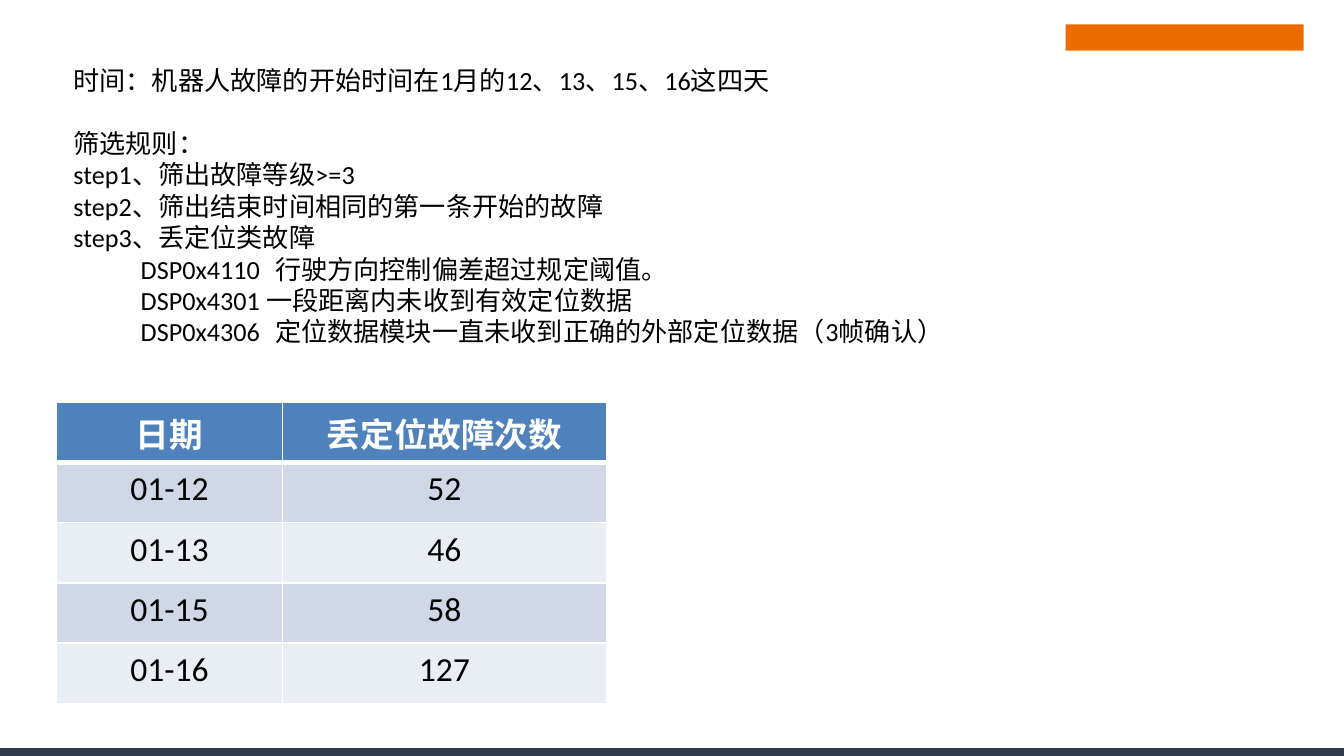
from lxml import etree
from pptx import Presentation
from pptx.dml.color import RGBColor
from pptx.enum.shapes import MSO_SHAPE
from pptx.enum.text import PP_ALIGN
from pptx.oxml.ns import qn
from pptx.util import Cm, Pt


def color(value):
    return RGBColor.from_string(value)


def write(paragraph, text, size=14, fill="000000", bold=False, align=PP_ALIGN.LEFT, before=0):
    paragraph.alignment = align
    paragraph.space_before = Pt(before)
    run = paragraph.add_run()
    run.text = text
    run.font.name = "Calibri"
    run.font.size = Pt(size)
    run.font.bold = bold
    run.font.color.rgb = color(fill)


presentation = Presentation()
presentation.slide_width = Cm(25.4)
presentation.slide_height = Cm(14.28)
slide = presentation.slides.add_slide(presentation.slide_layouts[6])

bars = [
    (0, 14.13, 25.4, 0.15, "303C4E"),
    (20.14, 0.46, 4.5, 0.5, "ED6C00"),
]
for left, top, width, height, fill in bars:
    shape = slide.shapes.add_shape(MSO_SHAPE.RECTANGLE, Cm(left), Cm(top), Cm(width), Cm(height))
    shape.shadow.inherit = False
    shape.fill.solid()
    shape.fill.fore_color.rgb = color(fill)
    shape.line.fill.background()

rules = [
    ("时间：机器人故障的开始时间在1月的12、13、15、16这四天", 0, False),
    ("筛选规则：", 17, False),
    ("step1、筛出故障等级>=3", 0, False),
    ("step2、筛出结束时间相同的第一条开始的故障", 0, False),
    ("step3、丢定位类故障", 0, False),
    ("DSP0x4110\t行驶方向控制偏差超过规定阈值。", 0, True),
    ("DSP0x4301 一段距离内未收到有效定位数据", 0, True),
    ("DSP0x4306\t定位数据模块一直未收到正确的外部定位数据（3帧确认）", 0, True),
]
text_frame = slide.shapes.add_textbox(Cm(1.14), Cm(1.09), Cm(23.6), Cm(5.31)).text_frame
text_frame.word_wrap = True
for index, (text, before, indented) in enumerate(rules):
    paragraph = text_frame.add_paragraph() if index else text_frame.paragraphs[0]
    write(paragraph, text, before=before)
    if indented:
        properties = paragraph._p.get_or_add_pPr()
        properties.set("marL", "0")
        properties.set("indent", str(Cm(1.27)))
        tabs = etree.SubElement(properties, qn("a:tabLst"))
        etree.SubElement(tabs, qn("a:tab"), pos=str(Cm(3.81)), algn="l")

rows = [
    ("日期", "丢定位故障次数"),
    ("01-12", "52"),
    ("01-13", "46"),
    ("01-15", "58"),
    ("01-16", "127"),
]
table = slide.shapes.add_table(len(rows), 2, Cm(1.07), Cm(7.59), Cm(10.39), Cm(5.7)).table
table.columns[0].width = Cm(4.27)
table.columns[1].width = Cm(6.12)
for row_index, row in enumerate(rows):
    header = row_index == 0
    fill = "4F81BD" if header else ("E9EDF4", "D0D8E8")[row_index % 2]
    for column_index, text in enumerate(row):
        cell = table.cell(row_index, column_index)
        write(cell.text_frame.paragraphs[0], text, size=18, bold=header,
              fill="FFFFFF" if header else "000000", align=PP_ALIGN.CENTER)
        widths = {"lnL": 1, "lnR": 1, "lnT": 3 if row_index == 1 else 1, "lnB": 3 if header else 1}
        for side, width in widths.items():
            line = etree.SubElement(cell._tc.get_or_add_tcPr(), qn(f"a:{side}"), w=str(Pt(width)))
            solid = etree.SubElement(line, qn("a:solidFill"))
            etree.SubElement(solid, qn("a:srgbClr"), val="FFFFFF")
        cell.fill.solid()
        cell.fill.fore_color.rgb = color(fill)

presentation.save("out.pptx")
